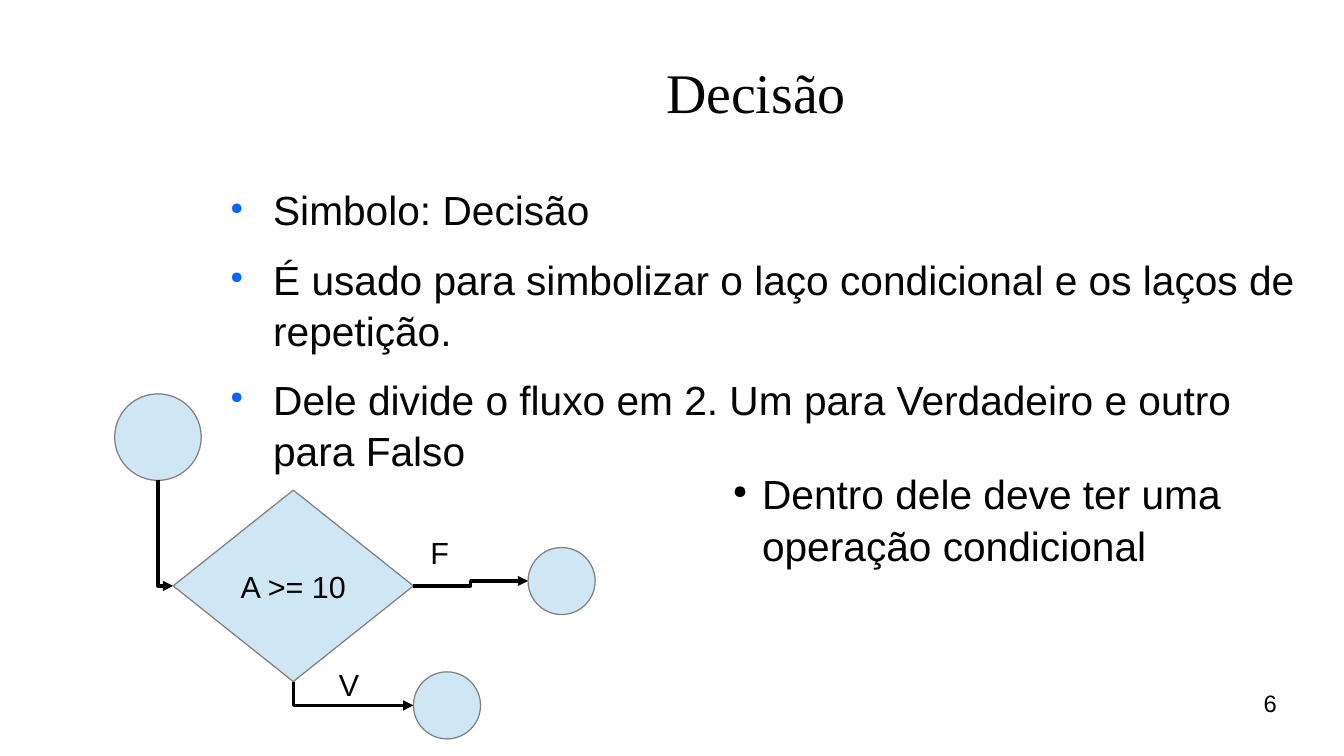
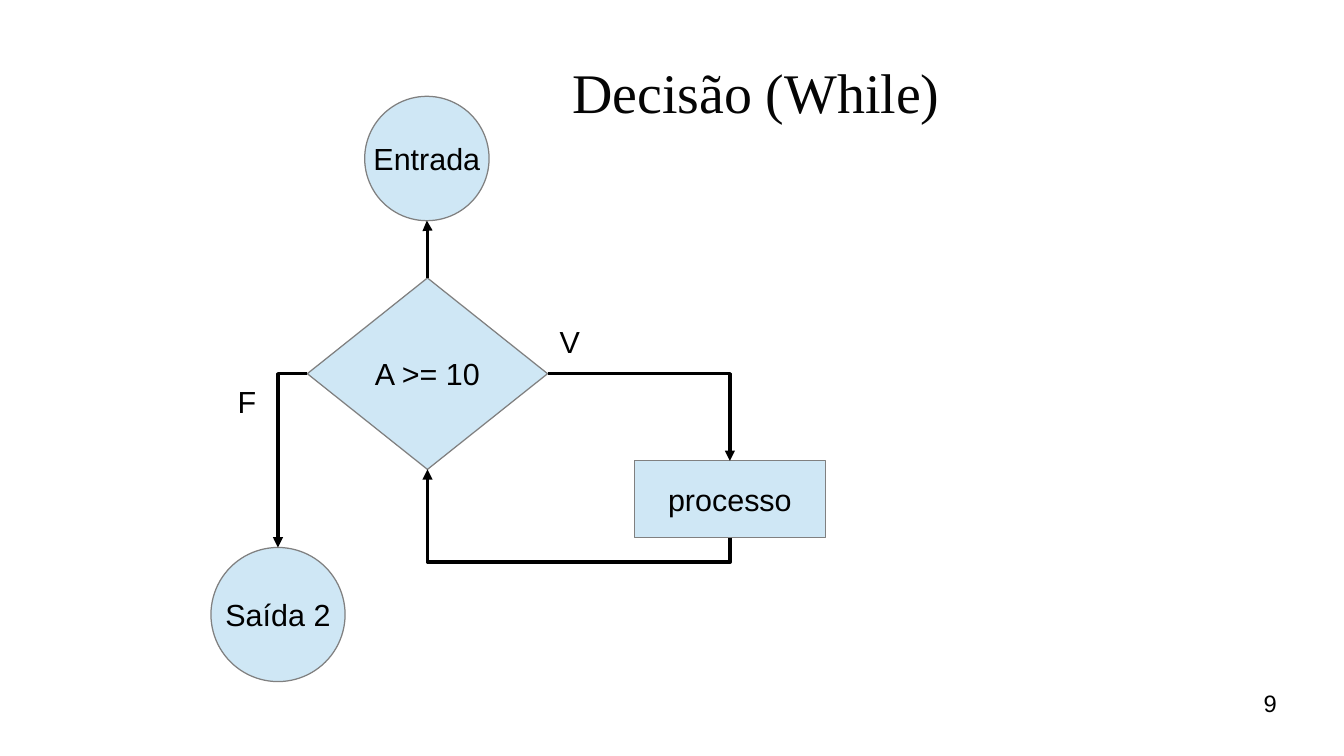
from dataclasses import dataclass
from enum import IntEnum
from typing import NamedTuple

from lxml import etree
from pptx import Presentation
from pptx import util as u
from pptx.dml.color import RGBColor
from pptx.enum import shapes, text
from pptx.oxml.ns import qn

INK = "050505"
BLACK = "000000"
BULLET_BLUE = "0066FF"
NODE_FILL = "CFE7F5"
NODE_LINE = "808080"
SANS = "Arial"
SERIF = "Times New Roman"

CENTER = text.PP_ALIGN.CENTER
LEFT = text.PP_ALIGN.LEFT
RIGHT = text.PP_ALIGN.RIGHT
MIDDLE = text.MSO_ANCHOR.MIDDLE
TOP = text.MSO_ANCHOR.TOP

DECISION = shapes.MSO_SHAPE.FLOWCHART_DECISION
JUNCTION = shapes.MSO_SHAPE.FLOWCHART_CONNECTOR
PROCESS = shapes.MSO_SHAPE.FLOWCHART_PROCESS
ELLIPSE = shapes.MSO_SHAPE.OVAL
ROUND_KINDS = (JUNCTION, ELLIPSE)


class Side(IntEnum):
    TOP = 0
    LEFT = 1
    BOTTOM = 2
    RIGHT = 3


SIDE_POINTS = {
    Side.TOP: (0.5, 0),
    Side.LEFT: (0, 0.5),
    Side.BOTTOM: (0.5, 1),
    Side.RIGHT: (1, 0.5),
}


class Area(NamedTuple):
    left: float
    top: float
    width: float
    height: float

    def lengths(self) -> list:
        return [u.Inches(value) for value in self]


class Style(NamedTuple):
    size: float
    font: str = SANS
    color: str = BLACK
    align: text.PP_ALIGN = LEFT
    anchor: text.MSO_ANCHOR = TOP
    inset: tuple = (0.1, 0.05)


class Bullet(NamedTuple):
    color: str
    percent: int
    indent: float
    hanging: float
    space_after: float = 0


@dataclass
class Node:
    kind: shapes.MSO_SHAPE
    area: Area
    caption: str = ""

    def point(self, side: Side) -> tuple:
        across, down = SIDE_POINTS[side]
        return (self.area.left + across * self.area.width,
                self.area.top + down * self.area.height)

    def site(self, side: Side) -> int:
        return side * 2 if self.kind in ROUND_KINDS else int(side)


@dataclass
class Link:
    start: str
    start_side: Side
    end: str
    end_side: Side
    bend: float | None = None


@dataclass
class Label:
    caption: str
    area: Area


@dataclass
class Flowchart:
    title: str
    number: str
    nodes: dict[str, Node]
    links: list[Link]
    labels: list[Label]


TITLE_AREA = Area(1.77, 0.24, 8.86, 1.02)
NUMBER_AREA = Area(7.9, 5.65, 2.57, 0.43)
BODY_AREA = Area(1.77, 1.5, 8.86, 3.6)
REMARK_AREA = Area(5.91, 3.78, 4.49, 1.65)

TITLE = Style(33, SERIF, INK, CENTER, MIDDLE, (0, 0))
NUMBER = Style(14, align=RIGHT, inset=(0, 0))
BODY = Style(24, color=INK, inset=(0, 0))
REMARK = Style(24)
LABEL = Style(18)
NODE = Style(18, align=CENTER, anchor=MIDDLE)

BODY_BULLET = Bullet(BULLET_BLUE, 40, 0.47, 0.35, 10.6)
REMARK_BULLET = Bullet(BLACK, 45, 0.24, 0.24)

BODY_LINES = [
    "Simbolo: Decisão",
    "É usado para simbolizar o laço condicional e os laços de repetição.",
    "Dele divide o fluxo em 2. Um para Verdadeiro e outro para Falso",
]
REMARK_LINES = ["Dentro dele deve ter uma operação condicional"]

BRANCH = Flowchart(
    "Decisão", "6",
    {
        "decision": Node(DECISION, Area(1.42, 4.02, 1.97, 1.57), "A >= 10"),
        "false": Node(JUNCTION, Area(4.33, 4.49, 0.55, 0.55)),
        "true": Node(JUNCTION, Area(3.39, 5.51, 0.55, 0.55)),
        "entry": Node(ELLIPSE, Area(0.94, 3.23, 0.71, 0.71)),
    },
    [
        Link("decision", Side.RIGHT, "false", Side.LEFT, 0.5),
        Link("decision", Side.BOTTOM, "true", Side.LEFT),
        Link("entry", Side.BOTTOM, "decision", Side.LEFT),
    ],
    [
        Label("F", Area(3.43, 4.33, 0.35, 0.38)),
        Label("V", Area(2.68, 5.41, 0.36, 0.38)),
    ],
)

LOOP = Flowchart(
    "Decisão (While)", "9",
    {
        "decision": Node(DECISION, Area(2.52, 2.28, 1.97, 1.57), "A >= 10"),
        "entry": Node(ELLIPSE, Area(2.99, 0.79, 1.02, 1.02), "Entrada"),
        "exit": Node(JUNCTION, Area(1.73, 4.49, 1.1, 1.1), "Saída 2"),
        "process": Node(PROCESS, Area(5.2, 3.78, 1.57, 0.63), "processo"),
    },
    [
        Link("decision", Side.RIGHT, "process", Side.TOP),
        Link("decision", Side.LEFT, "exit", Side.TOP),
        Link("decision", Side.TOP, "entry", Side.BOTTOM),
        Link("process", Side.BOTTOM, "decision", Side.BOTTOM, -0.36),
    ],
    [
        Label("F", Area(1.85, 3.09, 0.35, 0.38)),
        Label("V", Area(4.49, 2.6, 0.48, 0.38)),
    ],
)


def rgb(color: str) -> RGBColor:
    return RGBColor.from_string(color)


def add_bullet(para, bullet: Bullet) -> None:
    para.space_after = u.Pt(bullet.space_after)
    para.line_spacing = 1.05
    props = para._p.get_or_add_pPr()
    props.set("marL", str(u.Inches(bullet.indent)))
    props.set("indent", str(-u.Inches(bullet.hanging)))
    color = etree.SubElement(props, qn("a:buClr"))
    etree.SubElement(color, qn("a:srgbClr"), val=bullet.color)
    etree.SubElement(props, qn("a:buSzPct"), val=str(bullet.percent * 1000))
    etree.SubElement(props, qn("a:buChar"), char="●")


def write(shape, lines: list[str], style: Style, wrap: bool = True,
          bullet: Bullet | None = None) -> None:
    frame = shape.text_frame
    frame.word_wrap = wrap
    frame.vertical_anchor = style.anchor
    frame.margin_left = frame.margin_right = u.Inches(style.inset[0])
    frame.margin_top = frame.margin_bottom = u.Inches(style.inset[1])
    frame.text = "\n".join(lines)
    for para in frame.paragraphs:
        if bullet:
            add_bullet(para, bullet)
        para.alignment = style.align
        para.font.size = u.Pt(style.size)
        para.font.name = style.font
        para.font.color.rgb = rgb(style.color)


def add_text(page, area: Area, lines: list[str], style: Style,
             bullet: Bullet | None = None) -> None:
    box = page.shapes.add_textbox(*area.lengths())
    write(box, lines, style, bullet=bullet)


def add_node(page, node: Node):
    shape = page.shapes.add_shape(node.kind, *node.area.lengths())
    shape.shadow.inherit = False
    shape.fill.solid()
    shape.fill.fore_color.rgb = rgb(NODE_FILL)
    shape.line.color.rgb = rgb(NODE_LINE)
    shape.line.width = u.Pt(0)
    if node.caption:
        write(shape, [node.caption], NODE, wrap=False)
    return shape


def add_link(page, link: Link, nodes: dict[str, Node], drawn: dict) -> None:
    x1, y1 = nodes[link.start].point(link.start_side)
    x2, y2 = nodes[link.end].point(link.end_side)
    connector = page.shapes.add_connector(
        shapes.MSO_CONNECTOR.ELBOW, *[u.Inches(value) for value in (x1, y1, x2, y2)])
    connector.line.color.rgb = rgb(BLACK)
    connector.line.width = u.Pt(0)

    props = connector._element.spPr
    frame = props.find(qn("a:xfrm"))
    flip_h, flip_v = x2 < x1, y2 < y1
    if link.start_side in (Side.TOP, Side.BOTTOM):
        width, height = abs(y2 - y1), abs(x2 - x1)
        connector.left = u.Inches((x1 + x2 - width) / 2)
        connector.top = u.Inches((y1 + y2 - height) / 2)
        connector.width, connector.height = u.Inches(width), u.Inches(height)
        frame.set("rot", str(270 * 60000))
        flip_h, flip_v = y2 > y1, x2 < x1
    frame.set("flipH", str(int(flip_h)))
    frame.set("flipV", str(int(flip_v)))

    geometry = props.find(qn("a:prstGeom"))
    if link.bend is None:
        geometry.set("prst", "bentConnector2")
    else:
        etree.SubElement(geometry.find(qn("a:avLst")), qn("a:gd"),
                         name="adj1", fmla=f"val {round(link.bend * 100000)}")
    etree.SubElement(props.find(qn("a:ln")), qn("a:tailEnd"), type="triangle")
    etree.SubElement(props, qn("a:effectLst"))

    joints = connector._element.nvCxnSpPr.cNvCxnSpPr
    for tag, name, side in (("a:stCxn", link.start, link.start_side),
                            ("a:endCxn", link.end, link.end_side)):
        etree.SubElement(joints, qn(tag), id=str(drawn[name].shape_id),
                         idx=str(nodes[name].site(side)))


def add_page(deck, chart: Flowchart):
    page = deck.slides.add_slide(deck.slide_layouts[6])
    add_text(page, TITLE_AREA, [chart.title], TITLE)
    drawn = {name: add_node(page, node) for name, node in chart.nodes.items()}
    for link in chart.links:
        add_link(page, link, chart.nodes, drawn)
    for label in chart.labels:
        add_text(page, label.area, [label.caption], LABEL)
    add_text(page, NUMBER_AREA, [chart.number], NUMBER)
    return page


def main() -> None:
    deck = Presentation()
    deck.slide_width, deck.slide_height = u.Inches(11.02), u.Inches(6.2)
    branch_page = add_page(deck, BRANCH)
    add_text(branch_page, BODY_AREA, BODY_LINES, BODY, BODY_BULLET)
    add_text(branch_page, REMARK_AREA, REMARK_LINES, REMARK, REMARK_BULLET)
    add_page(deck, LOOP)
    deck.save("out.pptx")


if __name__ == "__main__":
    main()
